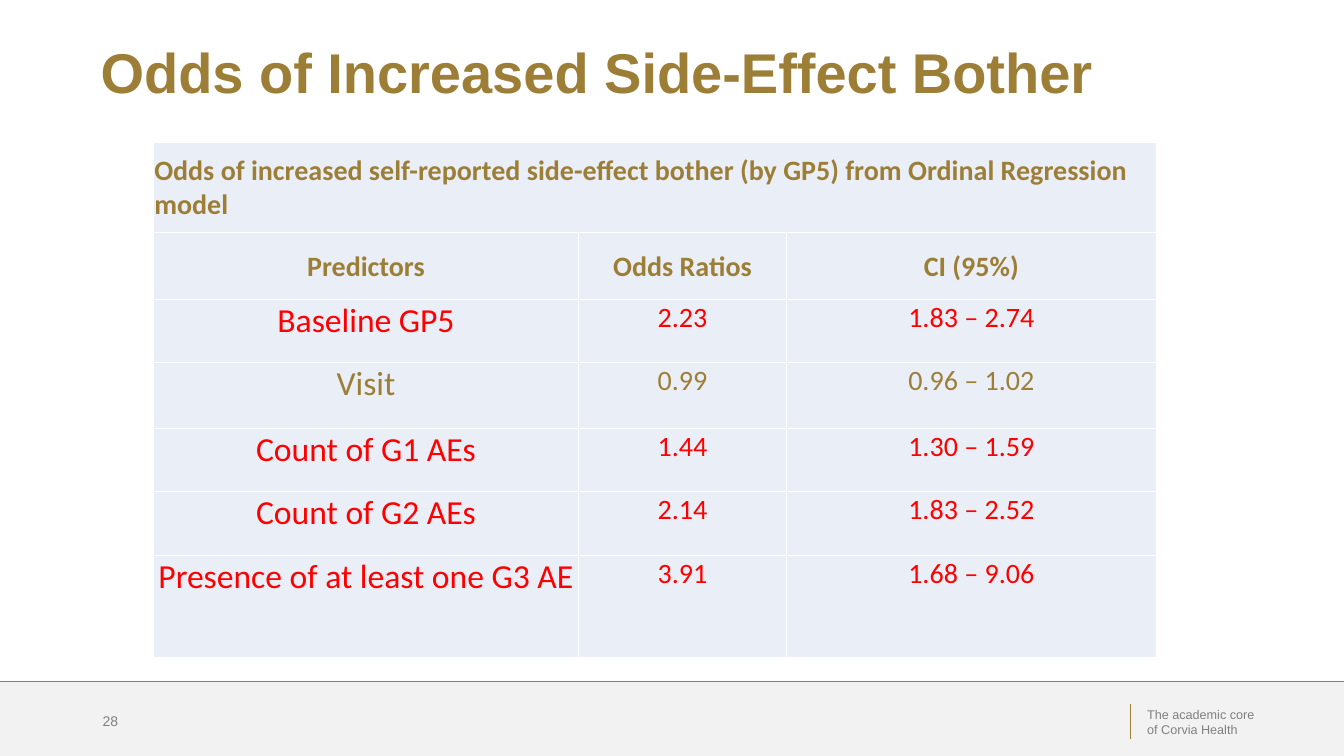
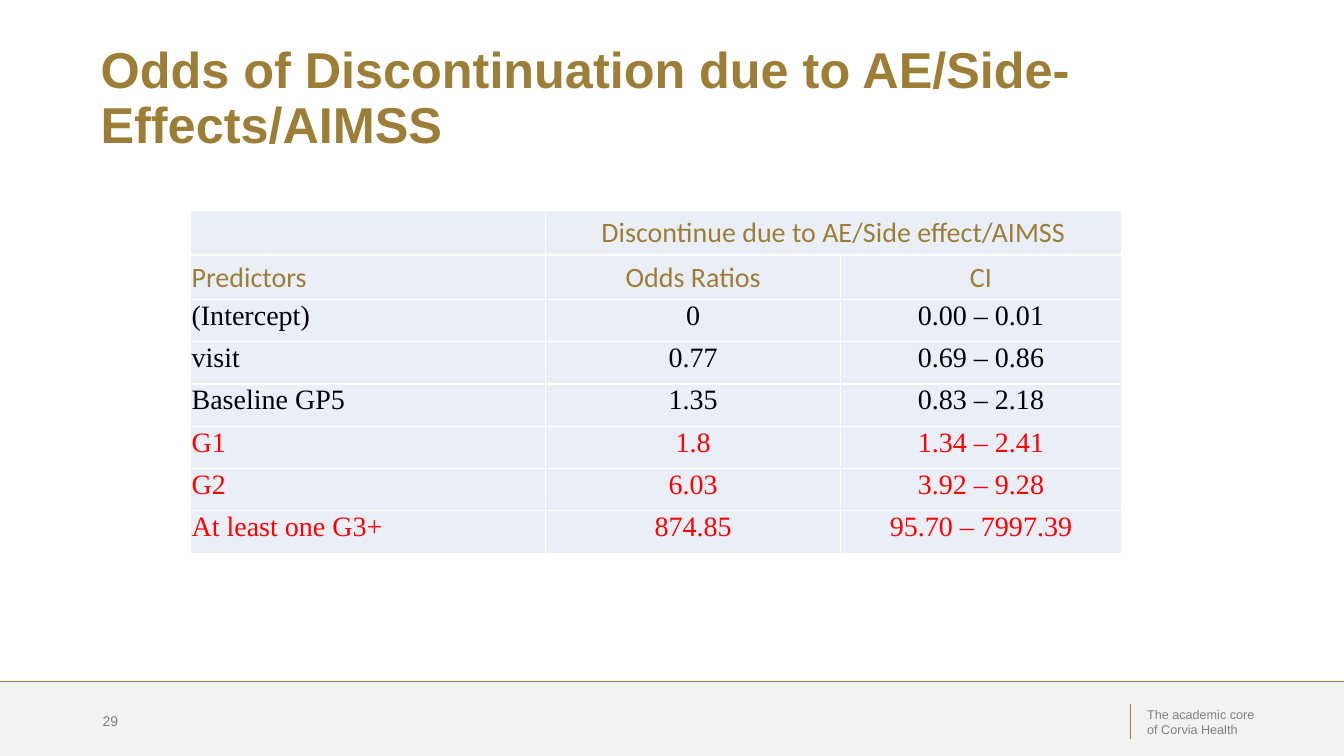
from lxml import etree
from pptx import Presentation
from pptx import util as u
from pptx.dml import color
from pptx.enum import shapes, text
from pptx.oxml import ns

EMU_PER_PX = 9144
SLIDE_WIDTH, SLIDE_HEIGHT = 1333, 750

GOLD = "9D7E37"
RULE_GOLD = "9E7E38"
GRAY = "808080"
BAND = "F2F2F2"
CELL = "EAEFF7"
RED = "FF0000"
BLACK = "000000"
WHITE = "FFFFFF"

TITLE = {"name": "Arial", "bold": True, "color": GOLD}
FOOTER = {"name": "Arial", "size": 9, "color": GRAY}
NUMBER = {**FOOTER, "size": 10}
HEADING = {"name": "Calibri", "size": 20, "color": GOLD}
BOLD_HEADING = {**HEADING, "bold": True}
SERIF = {"name": "Times New Roman", "size": 20, "color": BLACK}

LEFT, CENTER = text.PP_ALIGN.LEFT, text.PP_ALIGN.CENTER
TOP, MIDDLE = text.MSO_ANCHOR.TOP, text.MSO_ANCHOR.MIDDLE


def px(length):
    return u.Emu(length * EMU_PER_PX)


def rgb(value):
    return color.RGBColor.from_string(value)


def set_format(font, style):
    for name, value in style.items():
        if name == "color":
            font.color.rgb = rgb(value)
        else:
            setattr(font, name, u.Pt(value) if name == "size" else value)


def add_text(slide, box, content, style, anchor=TOP, line_spacing=1.0):
    shape = slide.shapes.add_textbox(*map(px, box))
    frame = shape.text_frame
    frame.word_wrap = True
    frame.vertical_anchor = anchor
    paragraph = frame.paragraphs[0]
    paragraph.line_spacing = line_spacing
    run = paragraph.add_run()
    run.text = content
    set_format(run.font, style)


def add_line(slide, start, end, line_color):
    connector = slide.shapes.add_connector(
        shapes.MSO_CONNECTOR.STRAIGHT, *map(px, start + end))
    connector.line.color.rgb = rgb(line_color)
    connector.line.width = u.Pt(0.75)
    etree.SubElement(connector._element.spPr, ns.qn("a:effectLst"))


def add_footer(slide, box, number):
    left, top, width, height = box
    band = slide.shapes.add_shape(shapes.MSO_SHAPE.RECTANGLE, *map(px, box))
    band.shadow.inherit = False
    band.fill.solid()
    band.fill.fore_color.rgb = rgb(BAND)
    band.line.fill.background()
    add_line(slide, (left, top), (left + width, top), RULE_GOLD)
    divider = left + width - 212
    add_line(slide, (divider, top + 22), (divider, top + 57), GOLD)
    add_text(slide, (divider + 7, top + 20, 137, 40),
             "The academic core of Corvia Health", FOOTER)
    add_text(slide, (left + 92, top + 19, 300, 40), str(number), NUMBER, MIDDLE)


def format_cell(cell, anchor):
    cell.vertical_anchor = anchor
    for side in ("left", "top", "right"):
        setattr(cell, f"margin_{side}", px(1))
    cell.margin_bottom = 0
    cell.fill.solid()
    cell.fill.fore_color.rgb = rgb(CELL)
    properties = cell._tc.get_or_add_tcPr()
    for index, side in enumerate("LRTB"):
        border = etree.Element(ns.qn(f"a:ln{side}"), w=str(u.Pt(1)))
        fill = etree.SubElement(border, ns.qn("a:solidFill"))
        etree.SubElement(fill, ns.qn("a:srgbClr"), val=WHITE)
        properties.insert(index, border)


def add_odds_table(slide, origin, widths, heights, rows, merge, header_align, label_align):
    frame = slide.shapes.add_table(
        len(heights), len(widths), *map(px, origin + (sum(widths), sum(heights))))
    table = frame.table
    table.first_row = table.horz_banding = False
    for column, width in zip(table.columns, widths):
        column.width = px(width)
    for row, height in zip(table.rows, heights):
        row.height = px(height)
    first, last = merge
    table.cell(0, first).merge(table.cell(0, last))
    for row_index, (contents, label_style, value_style) in enumerate(rows):
        for column_index, content in enumerate(contents):
            cell = table.cell(row_index, column_index)
            format_cell(cell, MIDDLE if row_index < 2 else TOP)
            if not content:
                continue
            paragraph = cell.text_frame.paragraphs[0]
            paragraph.alignment = CENTER
            if column_index == 0:
                paragraph.alignment = header_align if row_index == 0 else label_align
            run = paragraph.add_run()
            run.text = content
            set_format(run.font, value_style if column_index else label_style)


def add_odds_slide(presentation, number, title, title_size, table):
    slide = presentation.slides.add_slide(presentation.slide_layouts[6])
    add_footer(slide, (0, 676, SLIDE_WIDTH, 74), number)
    add_text(slide, (90, 40, 1150, 90), title, {**TITLE, "size": title_size},
             line_spacing=0.9)
    add_odds_table(slide, **table)


def calibri_row(contents, row_color):
    values = {**HEADING, "color": row_color}
    return contents, {**values, "size": 24}, values


def serif_row(contents, row_color):
    style = {**SERIF, "color": row_color}
    return contents, style, style


BOTHER_TABLE = {
    "origin": (152, 141),
    "widths": (422, 206, 367),
    "heights": (90, 66, 63, 65, 63, 63, 101),
    "merge": (0, 2),
    "header_align": LEFT,
    "label_align": CENTER,
    "rows": [
        (("Odds of increased self-reported side-effect bother (by GP5) "
          "from Ordinal Regression model", "", ""), BOLD_HEADING, BOLD_HEADING),
        (("Predictors", "Odds Ratios", "CI (95%)"), BOLD_HEADING, BOLD_HEADING),
        calibri_row(("Baseline GP5", "2.23", "1.83 – 2.74"), RED),
        calibri_row(("Visit", "0.99", "0.96 – 1.02"), GOLD),
        calibri_row(("Count of G1 AEs", "1.44", "1.30 – 1.59"), RED),
        calibri_row(("Count of G2 AEs", "2.14", "1.83 – 2.52"), RED),
        calibri_row(("Presence of at least one G3 AE", "3.91", "1.68 – 9.06"), RED),
    ],
}

DISCONTINUATION_TABLE = {
    "origin": (189, 209),
    "widths": (352, 293, 278),
    "heights": (44,) * 2 + (42,) * 6,
    "merge": (1, 2),
    "header_align": LEFT,
    "label_align": LEFT,
    "rows": [
        (("", "Discontinue due to AE/Side effect/AIMSS", ""), HEADING, HEADING),
        (("Predictors", "Odds Ratios", "CI"), HEADING, HEADING),
        serif_row(("(Intercept)", "0", "0.00 – 0.01"), BLACK),
        serif_row(("visit", "0.77", "0.69 – 0.86"), BLACK),
        serif_row(("Baseline GP5", "1.35", "0.83 – 2.18"), BLACK),
        serif_row(("G1", "1.8", "1.34 – 2.41"), RED),
        serif_row(("G2", "6.03", "3.92 – 9.28"), RED),
        serif_row(("At least one G3+", "874.85", "95.70 – 7997.39"), RED),
    ],
}


def main():
    presentation = Presentation()
    presentation.slide_width = px(SLIDE_WIDTH)
    presentation.slide_height = px(SLIDE_HEIGHT)
    add_odds_slide(presentation, 28, "Odds of Increased Side-Effect Bother", 40,
                   BOTHER_TABLE)
    add_odds_slide(presentation, 29,
                   "Odds of Discontinuation due to AE/Side-Effects/AIMSS", 36,
                   DISCONTINUATION_TABLE)
    presentation.save("out.pptx")


if __name__ == "__main__":
    main()
